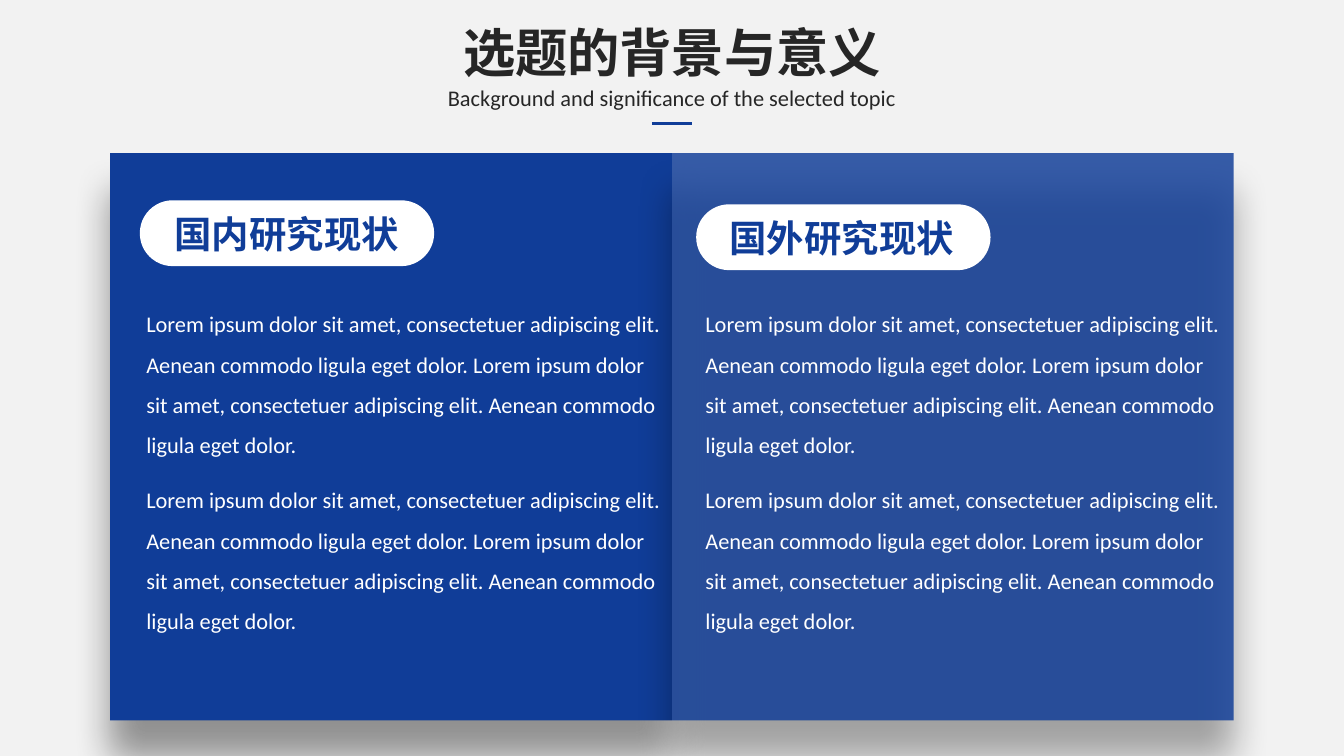
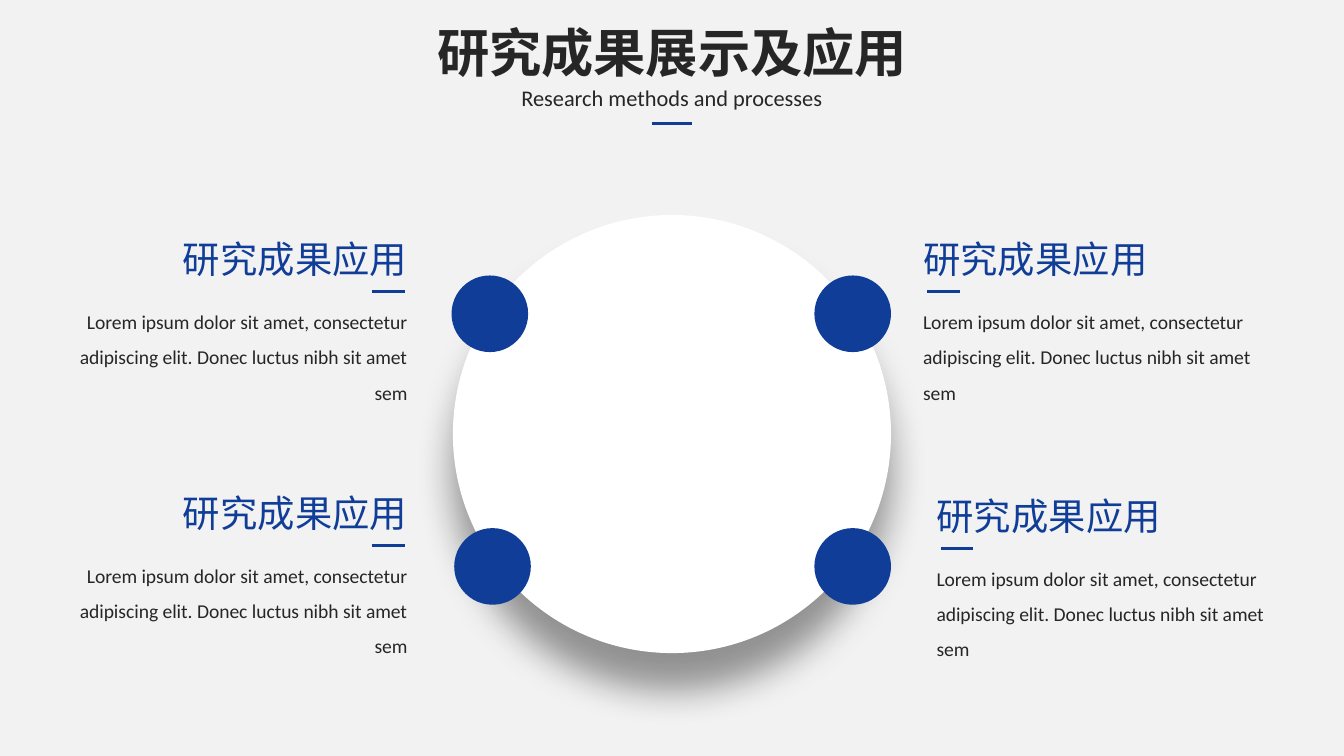
from dataclasses import dataclass

from lxml.etree import SubElement
from pptx import Presentation
from pptx.dml.color import RGBColor
from pptx.enum.shapes import MSO_CONNECTOR, MSO_SHAPE
from pptx.enum.text import MSO_ANCHOR, MSO_AUTO_SIZE, PP_ALIGN
from pptx.oxml.ns import qn
from pptx.util import Inches, Pt


@dataclass(frozen=True)
class Theme:
    blue: str = "103D98"
    ink: str = "262626"
    white: str = "FFFFFF"
    back: str = "F2F2F2"
    latin: str = "Calibri"
    han: str = "Noto Sans CJK SC"
    title: float = 28
    head: float = 20
    text: float = 12
    small: float = 10.5
    rule: float = 1.5


T = Theme()
WIDTH = 10
HEIGHT = WIDTH * 9 / 16
MID = WIDTH / 2

LOREM = ("Lorem ipsum dolor sit amet, consectetuer adipiscing elit. "
         "Aenean commodo ligula eget dolor. ")
STUDY = (LOREM * 2).strip()
RESULT = ("Lorem ipsum dolor sit amet, consectetur adipiscing elit. "
          "Donec luctus nibh sit amet sem")

STATUS = {
    "title": ("选题的背景与意义", 3.34),
    "sub": ("Background and significance of the selected topic", 3.54),
    "panels": [
        {"head": "国内研究现状", "left": 0.82, "alpha": 100,
         "pill": (1.04, 1.49), "label": 1.2, "text": 0.99},
        {"head": "国外研究现状", "left": MID, "alpha": 83,
         "pill": (5.18, 1.52), "label": 5.33, "text": 5.15},
    ],
    "texts": [STUDY, STUDY],
}

OUTCOME = {
    "title": ("研究成果展示及应用", 3.74),
    "sub": ("Research methods and processes", 2.44),
    "head": "研究成果应用",
    "text": RESULT,
    "dots": [(3.36, 2.05), (6.06, 2.05), (6.06, 3.93), (3.38, 3.93)],
    "items": [
        (3.13, 2.17, True),
        (3.13, 4.06, True),
        (6.77, 2.17, False),
        (6.87, 4.08, False),
    ],
}


def rgb(code):
    return RGBColor.from_string(code)


def place(shape, box):
    shape.left, shape.top, shape.width, shape.height = map(Inches, box)


def write(shape, text, size, color, font=T.latin, align=PP_ALIGN.LEFT,
          bold=False, wrap=False, space=1.0):
    frame = shape.text_frame
    frame.word_wrap = wrap
    frame.auto_size = MSO_AUTO_SIZE.SHAPE_TO_FIT_TEXT
    frame.vertical_anchor = MSO_ANCHOR.TOP
    para = frame.paragraphs[0]
    para.text = text
    para.alignment = align
    para.line_spacing = space
    para.font.name = font
    para.font.size = Pt(size)
    para.font.bold = bold
    para.font.color.rgb = rgb(color)
    base = para._p.get_or_add_pPr().find(qn("a:defRPr"))
    SubElement(base, qn("a:ea")).set("typeface", font)


def label(slide, box, text, size, color, **style):
    shape = slide.shapes.add_textbox(*map(Inches, box))
    write(shape, text, size, color, **style)


def block(slide, kind, box, color, alpha=100, shade=False):
    shape = slide.shapes.add_shape(kind, *map(Inches, box))
    shape.shadow.inherit = False
    shape.fill.solid()
    shape.fill.fore_color.rgb = rgb(color)
    shape.line.fill.background()
    props = shape._element.spPr
    if alpha < 100:
        tint = props.find(qn("a:solidFill"))[0]
        SubElement(tint, qn("a:alpha")).set("val", str(alpha * 1000))
    if shade:
        outer = SubElement(props.find(qn("a:effectLst")), qn("a:outerShdw"),
                           blurRad=str(Pt(20)), dist=str(Pt(20)),
                           dir=str(90 * 60000), algn="t", rotWithShape="0")
        tint = SubElement(outer, qn("a:srgbClr"), val="000000")
        SubElement(tint, qn("a:alpha"), val="40000")
    return shape


def rule(slide, left, top, width):
    line = slide.shapes.add_connector(
        MSO_CONNECTOR.STRAIGHT, *map(Inches, (left, top, left + width, top)))
    line.line.color.rgb = rgb(T.blue)
    line.line.width = Pt(T.rule)
    SubElement(line._element.spPr, qn("a:effectLst"))


def start(deck, data):
    slide = deck.slides.add_slide(deck.slide_layouts[5])
    text, width = data["title"]
    place(slide.shapes.title, (MID - width / 2, 0.1, width, 0.57))
    write(slide.shapes.title, text, T.title, T.ink, font=T.han,
          align=PP_ALIGN.CENTER, bold=True)
    text, width = data["sub"]
    label(slide, (MID - width / 2, 0.58, width, 0.3), text, T.text, T.ink,
          align=PP_ALIGN.CENTER)
    rule(slide, MID - 0.15, 0.92, 0.3)
    return slide


def status(deck):
    slide = start(deck, STATUS)
    for panel in STATUS["panels"]:
        block(slide, MSO_SHAPE.RECTANGLE, (panel["left"], 1.14, 4.18, 4.22),
              T.blue, panel["alpha"], shade=True)
    for panel in STATUS["panels"]:
        left, top = panel["pill"]
        pill = block(slide, MSO_SHAPE.ROUNDED_RECTANGLE,
                     (left, top, 2.19, 0.49), T.white)
        pill.adjustments[0] = 0.5
        label(slide, (panel["label"], top + 0.03, 1.88, 0.44), panel["head"],
              T.head, T.blue, font=T.han, bold=True)
        for row, text in enumerate(STATUS["texts"]):
            label(slide, (panel["text"], 2.16 + row * 1.31, 4.09, 1.31), text,
                  T.text, T.white, wrap=True, space=1.5)


def outcome(deck):
    slide = start(deck, OUTCOME)
    block(slide, MSO_SHAPE.OVAL, (3.37, 1.6, 3.26, 3.26), T.white, shade=True)
    for left, top in OUTCOME["dots"]:
        block(slide, MSO_SHAPE.OVAL, (left, top, 0.57, 0.57), T.blue)
    for edge, top, flip in OUTCOME["items"]:
        align = PP_ALIGN.RIGHT if flip else PP_ALIGN.LEFT

        def side(width, gap=0):
            return edge - gap - width if flip else edge + gap

        label(slide, (side(2.83), top, 2.83, 0.9), OUTCOME["text"],
              T.small, T.ink, align=align, wrap=True, space=1.5)
        label(slide, (side(1.88), top - 0.46, 1.88, 0.44), OUTCOME["head"],
              T.head, T.blue, font=T.han, align=align)
        rule(slide, side(0.24, 0.12 if flip else 0.13), top, 0.24)


def main():
    deck = Presentation()
    deck.slide_width, deck.slide_height = Inches(WIDTH), Inches(HEIGHT)
    fill = deck.slide_master.background.fill
    fill.solid()
    fill.fore_color.rgb = rgb(T.back)
    status(deck)
    outcome(deck)
    deck.save("out.pptx")


if __name__ == "__main__":
    main()
